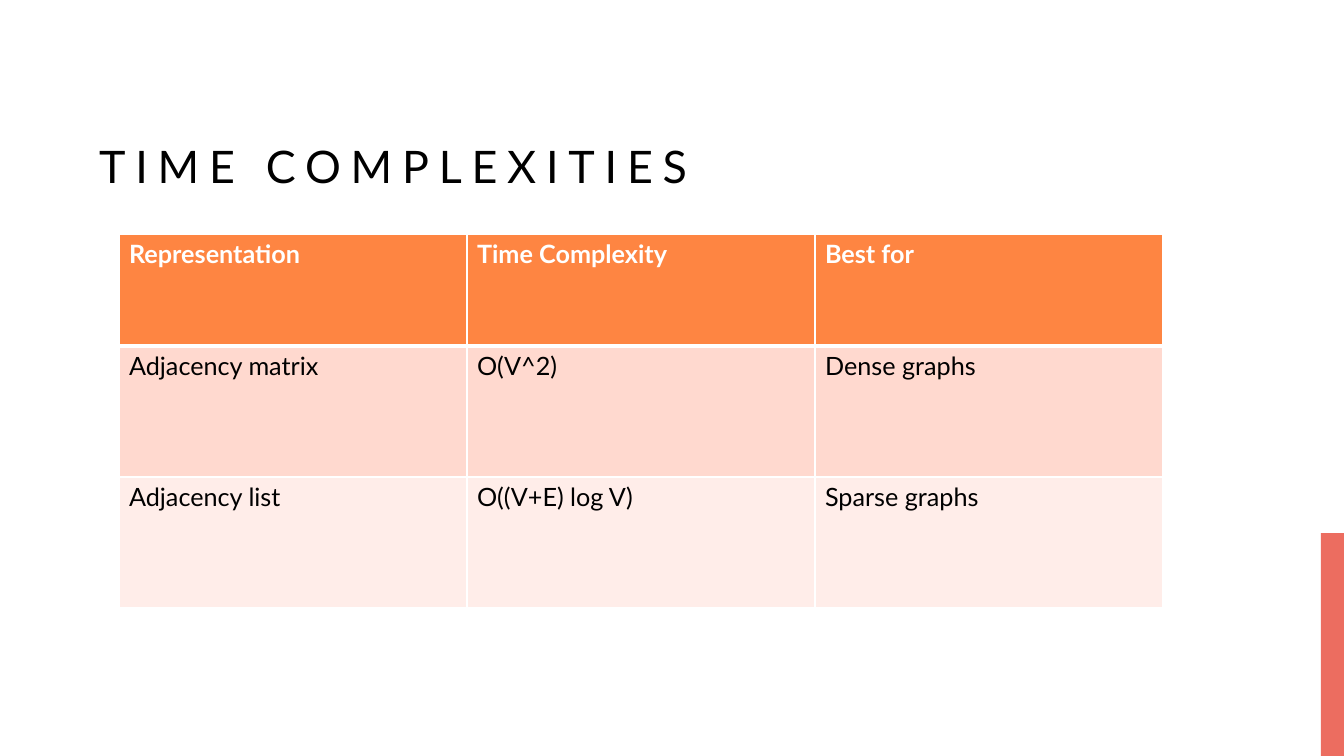
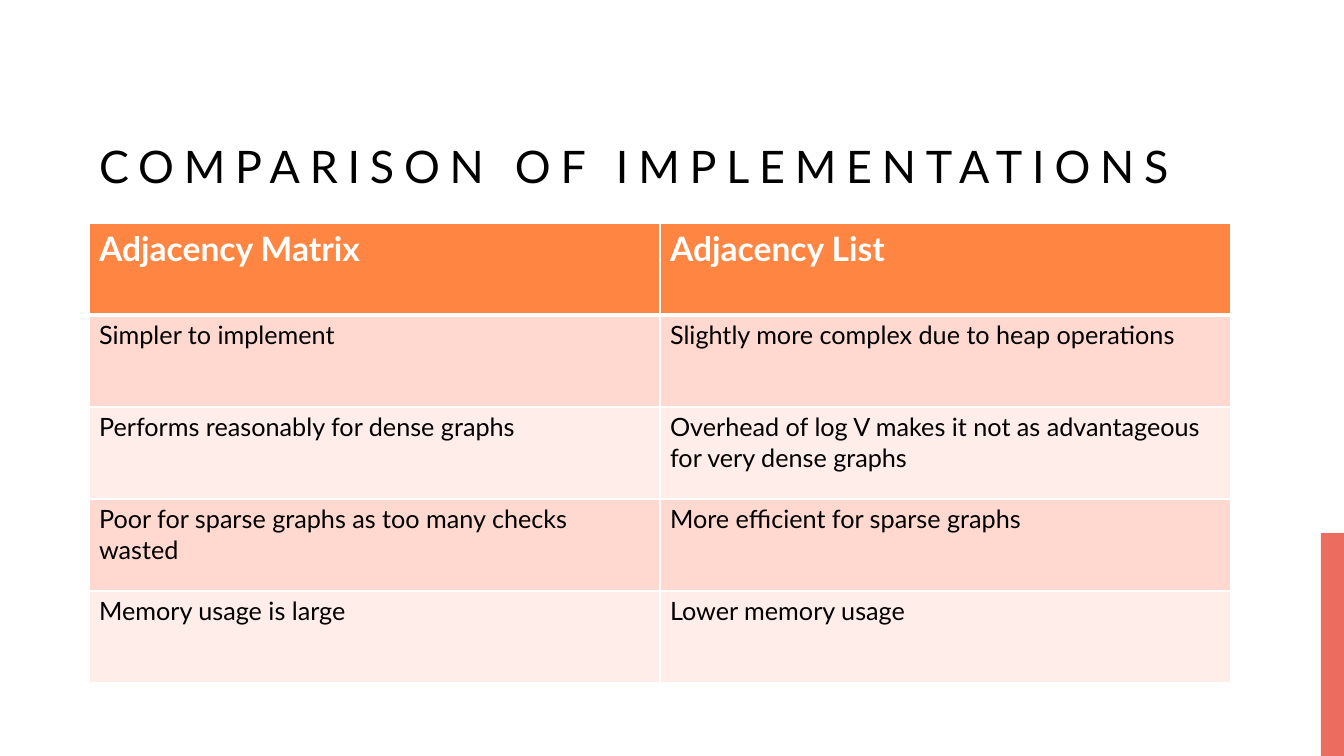
from dataclasses import dataclass

from lxml import etree
from pptx import Presentation, util as u
from pptx.dml.color import RGBColor
from pptx.enum import shapes, text
from pptx.oxml import ns

SLIDE_W, SLIDE_H = 1344, 756
EMU_PER_PX = u.Inches(7.5) / SLIDE_H


@dataclass(frozen=True)
class Theme:
    font: str = "Lato"
    ink: str = "000000"
    paper: str = "FFFFFF"
    accent: str = "EC6D60"
    header: str = "FE8542"
    bands: tuple = ("FFD9CF", "FFEDE9")
    title_size: int = 32
    title_tracking: int = 7
    body_size: int = 18
    rule: int = 1
    header_rule: int = 3


THEME = Theme()
TITLE_BOX = (89, 40, 1142, 158)
ACCENT_BOX = (SLIDE_W - 23, 533, 23, 223)


def px(length):
    return u.Emu(round(length * EMU_PER_PX))


def rgb(value):
    return RGBColor.from_string(value)


def write(frame, words, *, size=THEME.body_size, color=THEME.ink, bold=False,
          tracking=None, line_spacing=None):
    paragraph = frame.paragraphs[0]
    paragraph.alignment = text.PP_ALIGN.LEFT
    if line_spacing:
        paragraph.line_spacing = line_spacing
    run = paragraph.add_run()
    run.text = words
    run.font.name = THEME.font
    run.font.size = u.Pt(size)
    run.font.bold = bold
    run.font.color.rgb = rgb(color)
    if tracking:
        run.font._element.set("spc", str(tracking * 100))


def set_up_layout(deck):
    """Give the title-only layout its title box and return it."""
    layout = deck.slide_layouts[5]
    title = next(p for p in layout.placeholders
                 if p.placeholder_format.type == shapes.PP_PLACEHOLDER.TITLE)
    title.left, title.top, title.width, title.height = map(px, TITLE_BOX)
    title.text_frame.vertical_anchor = text.MSO_ANCHOR.BOTTOM
    return layout


def move_accent_to_master(slide, master):
    """Draw the accent bar and hand it to the master, so every slide shows it."""
    bar = slide.shapes.add_shape(shapes.MSO_SHAPE.RECTANGLE, *map(px, ACCENT_BOX))
    bar.shadow.inherit = False
    bar.fill.solid()
    bar.fill.fore_color.rgb = rgb(THEME.accent)
    bar.line.fill.background()
    bar.element.nvSpPr.cNvPr.set("id", "100")
    master.shapes.element.insert(2, bar.element)


def add_borders(cell, **widths):
    """Rule the cell's sides; this comes before its fill in the XML."""
    properties = cell._tc.get_or_add_tcPr()
    for side in "LRTB":
        width = u.Pt(widths.get(side, THEME.rule))
        line = etree.SubElement(properties, ns.qn(f"a:ln{side}"), w=str(width))
        fill = etree.SubElement(line, ns.qn("a:solidFill"))
        etree.SubElement(fill, ns.qn("a:srgbClr"), val=THEME.paper)


def add_banded_table(slide, box, rows, header_height, header_size):
    left, top, width, height = box
    columns = len(rows[0])
    table = slide.shapes.add_table(len(rows), columns, *map(px, box)).table
    for column in table.columns:
        column.width = px(width / columns)
    row_height = (height - header_height) / (len(rows) - 1)
    for r, row in enumerate(rows):
        is_header = r == 0
        table.rows[r].height = px(header_height if is_header else row_height)
        if is_header:
            fill, borders = THEME.header, {"B": THEME.header_rule}
            style = dict(size=header_size, color=THEME.paper, bold=True)
        else:
            fill = THEME.bands[(r - 1) % len(THEME.bands)]
            borders = {"T": THEME.header_rule} if r == 1 else {}
            style = {}
        for c, words in enumerate(row):
            cell = table.cell(r, c)
            add_borders(cell, **borders)
            cell.fill.solid()
            cell.fill.fore_color.rgb = rgb(fill)
            write(cell.text_frame, words, **style)


def add_table_slide(deck, layout, title, box, rows, header_height, header_size):
    slide = deck.slides.add_slide(layout)
    write(slide.shapes.title.text_frame, title, size=THEME.title_size,
          tracking=THEME.title_tracking, line_spacing=1.2)
    add_banded_table(slide, box, rows, header_height, header_size)
    return slide


COMPLEXITIES = [
    ("Representation", "Time Complexity", "Best for"),
    ("Adjacency matrix", "O(V^2)", "Dense graphs"),
    ("Adjacency list", "O((V+E) log V)", "Sparse graphs"),
]
IMPLEMENTATIONS = [
    ("Adjacency Matrix", "Adjacency List"),
    ("Simpler to implement", "Slightly more complex due to heap operations"),
    ("Performs reasonably for dense graphs",
     "Overhead of log V makes it not as advantageous for very dense graphs"),
    ("Poor for sparse graphs as too many checks wasted",
     "More efficient for sparse graphs"),
    ("Memory usage is large", "Lower memory usage"),
]


def main():
    deck = Presentation()
    deck.slide_width, deck.slide_height = px(SLIDE_W), px(SLIDE_H)
    layout = set_up_layout(deck)
    complexities = add_table_slide(
        deck, layout, "TIME COMPLEXITIES", (119, 234, 1044, 374),
        COMPLEXITIES, header_height=112, header_size=18)
    move_accent_to_master(complexities, deck.slide_master)
    add_table_slide(
        deck, layout, "COMPARISON OF IMPLEMENTATIONS", (89, 223, 1142, 460),
        IMPLEMENTATIONS, header_height=92, header_size=24)
    deck.save("out.pptx")


if __name__ == "__main__":
    main()
